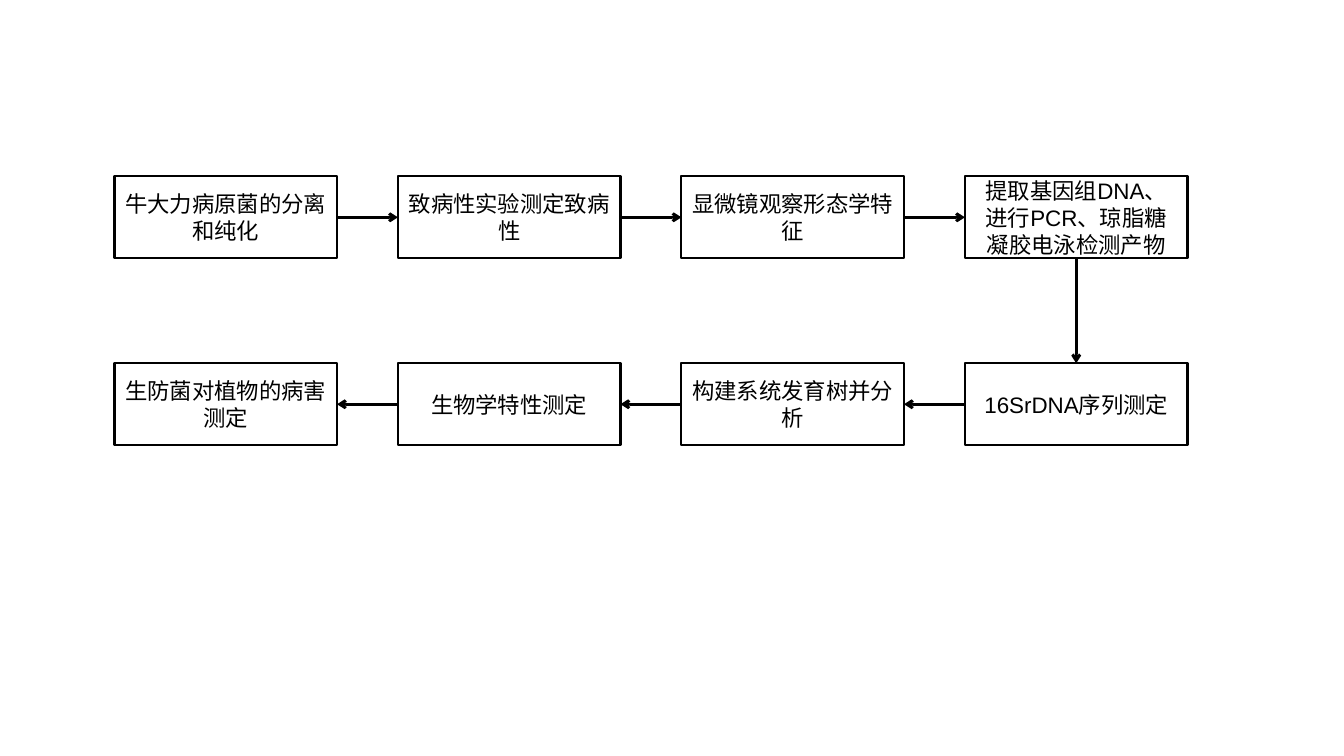
import lxml.etree
import pptx
import pptx.dml.color
import pptx.enum.shapes
import pptx.enum.text
import pptx.oxml.ns
import pptx.util

EMU_PER_PX = 9525
BLACK = "000000"
TOP, LEFT, BOTTOM, RIGHT = range(4)
COLUMNS = 4
STEPS = [
    "牛大力病原菌的分离和纯化",
    "致病性实验测定致病性",
    "显微镜观察形态学特征",
    "提取基因组DNA、进行PCR、琼脂糖凝胶电泳检测产物",
    "16SrDNA序列测定",
    "构建系统发育树并分析",
    "生物学特性测定",
    "生防菌对植物的病害测定",
]


def px(length):
    return pptx.util.Emu(length * EMU_PER_PX)


def color(value):
    return pptx.dml.color.RGBColor.from_string(value)


def set_line(line, width):
    line.color.rgb = color(BLACK)
    line.width = pptx.util.Pt(width)


def add_step(page, text, left, top, width, height):
    box = page.shapes.add_shape(
        pptx.enum.shapes.MSO_SHAPE.RECTANGLE,
        px(left), px(top), px(width), px(height))
    box.shadow.inherit = False
    box.fill.background()
    set_line(box.line, 1.5)
    frame = box.text_frame
    frame.word_wrap = True
    frame.vertical_anchor = pptx.enum.text.MSO_ANCHOR.MIDDLE
    frame.text = text
    para = frame.paragraphs[0]
    para.alignment = pptx.enum.text.PP_ALIGN.CENTER
    span = para.runs[0]
    span.font.name = "Arial"
    span.font.size = pptx.util.Pt(16)
    span.font.color.rgb = color(BLACK)
    return box


def add_arrow(page, source, source_side, target, target_side):
    arrow = page.shapes.add_connector(
        pptx.enum.shapes.MSO_CONNECTOR.STRAIGHT, 0, 0, 0, 0)
    arrow.begin_connect(source, source_side)
    arrow.end_connect(target, target_side)
    set_line(arrow.line, 2)
    qualified = pptx.oxml.ns.qn
    properties = arrow.line._get_or_add_ln()
    lxml.etree.SubElement(properties, qualified("a:tailEnd"), type="arrow")
    lxml.etree.SubElement(arrow._element.spPr, qualified("a:effectLst"))


def add_flow(page, left, top, width, height):
    step_width, step_height = 212, 78
    column_pitch = (width - step_width) // (COLUMNS - 1)
    row_pitch = height - step_height
    boxes = []
    for index, text in enumerate(STEPS):
        row, column = divmod(index, COLUMNS)
        if row == 1:
            column = COLUMNS - 1 - column
        boxes.append(add_step(
            page, text, left + column * column_pitch, top + row * row_pitch,
            step_width, step_height))
    for index, (source, target) in enumerate(zip(boxes, boxes[1:]), start=1):
        if index < COLUMNS:
            sides = RIGHT, LEFT
        elif index == COLUMNS:
            sides = BOTTOM, TOP
        else:
            sides = LEFT, RIGHT
        add_arrow(page, source, sides[0], target, sides[1])


def main():
    deck = pptx.Presentation()
    deck.slide_width = px(1280)
    deck.slide_height = px(720)
    page = deck.slides.add_slide(deck.slide_layouts[6])
    add_flow(page, 109, 168, 1022, 256)
    deck.save("out.pptx")


if __name__ == "__main__":
    main()
